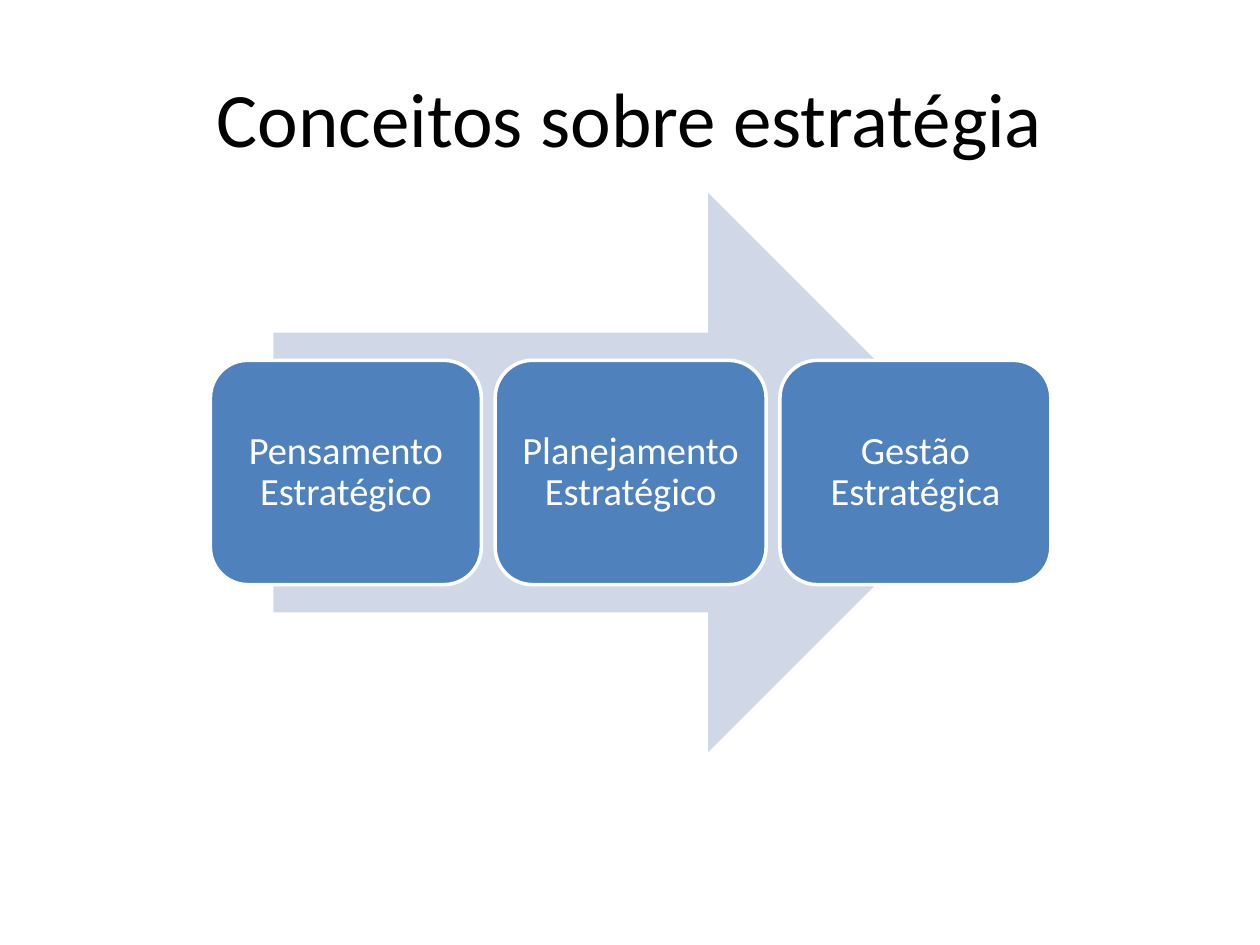
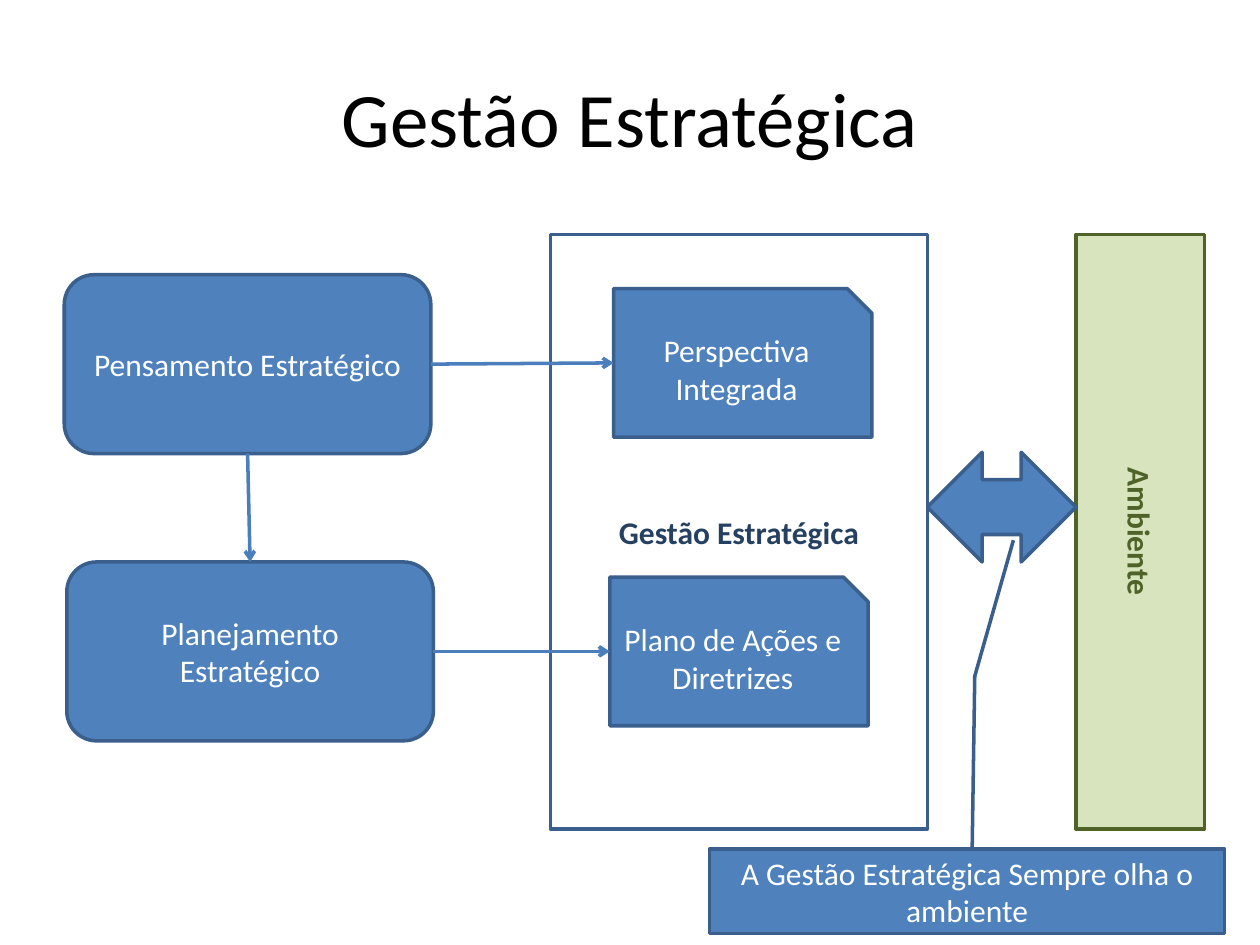
from dataclasses import dataclass

from lxml.etree import SubElement
from pptx import Presentation
from pptx.dml.color import RGBColor
from pptx.enum.shapes import MSO_CONNECTOR, MSO_SHAPE
from pptx.enum.text import MSO_ANCHOR, PP_ALIGN
from pptx.oxml.ns import qn
from pptx.presentation import Presentation as Deck
from pptx.shapes.autoshape import Shape
from pptx.slide import Slide
from pptx.text.text import TextFrame
from pptx.util import Emu, Pt

PX = 9144  # EMU in one px, 100 px to the inch


# Colours and type sizes
@dataclass(frozen=True)
class Theme:
    font: str = "Calibri"
    title_size: int = 44
    step_size: int = 22
    body_size: int = 18
    line_width: int = 2
    black: str = "000000"
    white: str = "FFFFFF"
    blue: str = "4F81BD"
    blue_edge: str = "3A5F8C"
    blue_arrow: str = "4B7EBC"
    navy: str = "254061"
    pale_blue: str = "D0D8E8"
    pale_green: str = "D7E4BD"
    green: str = "4F6228"


THEME = Theme()


@dataclass(frozen=True)
class Box:
    kind: MSO_SHAPE
    left: int
    top: int
    width: int
    height: int
    text: str = ""
    fill: str | None = THEME.blue
    line: str | None = THEME.blue_edge
    color: str = THEME.white
    size: int = THEME.body_size
    bold: bool = False
    spacing: float = 1.0
    inset: tuple[int, int] = (10, 5)
    vertical: bool = False
    adjustments: tuple[float, ...] = ()


def px(length: int) -> Emu:
    return Emu(length * PX)


def write_text(frame: TextFrame, text: str, *, size: int, color: str,
               bold: bool = False, spacing: float = 1.0,
               inset: tuple[int, int] = (10, 5)) -> None:
    frame.word_wrap = True
    frame.vertical_anchor = MSO_ANCHOR.MIDDLE
    frame.margin_left = frame.margin_right = px(inset[0])
    frame.margin_top = frame.margin_bottom = px(inset[1])
    para = frame.paragraphs[0]
    para.alignment = PP_ALIGN.CENTER
    para.line_spacing = spacing
    span = para.add_run()
    span.text = text
    span.font.name = THEME.font
    span.font.size = Pt(size)
    span.font.bold = bold
    span.font.color.rgb = RGBColor.from_string(color)


def add_box(page: Slide, box: Box) -> Shape:
    shape = page.shapes.add_shape(
        box.kind, px(box.left), px(box.top), px(box.width), px(box.height))
    shape.shadow.inherit = False
    for index, value in enumerate(box.adjustments):
        shape.adjustments[index] = value
    if box.fill:
        shape.fill.solid()
        shape.fill.fore_color.rgb = RGBColor.from_string(box.fill)
    else:
        shape.fill.background()
    if box.line:
        shape.line.color.rgb = RGBColor.from_string(box.line)
        shape.line.width = Pt(THEME.line_width)
    else:
        shape.line.fill.background()
    if box.text:
        write_text(shape.text_frame, box.text, size=box.size, color=box.color,
                   bold=box.bold, spacing=box.spacing, inset=box.inset)
    if box.vertical:
        shape.text_frame._txBody.bodyPr.set("vert", "vert")
    return shape


def add_arrow(page: Slide, source: Shape, source_side: int,
              target: Shape, target_side: int) -> None:
    """Arrow between side middles: 0 top, 1 left, 2 bottom, 3 right."""
    ends = []
    for shape, side in ((source, source_side), (target, target_side)):
        across, down = ((1, 0), (0, 1), (1, 2), (2, 1))[side]
        ends += [shape.left + shape.width * across // 2,
                 shape.top + shape.height * down // 2]
    arrow = page.shapes.add_connector(MSO_CONNECTOR.STRAIGHT, *ends)
    # Only rounded rectangles number their sides in this order
    if source.auto_shape_type == MSO_SHAPE.ROUNDED_RECTANGLE:
        arrow.begin_connect(source, source_side)
    if target.auto_shape_type == MSO_SHAPE.ROUNDED_RECTANGLE:
        arrow.end_connect(target, target_side)
    arrow.line.color.rgb = RGBColor.from_string(THEME.blue_arrow)
    arrow.line.width = Pt(THEME.line_width)
    SubElement(arrow.line._get_or_add_ln(), qn("a:tailEnd"), type="arrow")
    SubElement(arrow._element.spPr, qn("a:effectLst"))


def add_page(deck: Deck, title: str) -> Slide:
    page = deck.slides.add_slide(deck.slide_layouts[6])
    box = page.shapes.add_textbox(px(50), px(30), px(900), px(125))
    write_text(box.text_frame, title, size=THEME.title_size, color=THEME.black)
    return page


def build_concepts(deck: Deck) -> None:
    page = add_page(deck, "Conceitos sobre estratégia")
    add_box(page, Box(MSO_SHAPE.RIGHT_ARROW, 217, 153, 567, 444,
                      fill=THEME.pale_blue, line=None))

    # Three steps in a row over the arrow
    width, gap = 215, 11
    steps = ("Pensamento Estratégico", "Planejamento Estratégico",
             "Gestão Estratégica")
    for index, step in enumerate(steps):
        add_box(page, Box(MSO_SHAPE.ROUNDED_RECTANGLE,
                          167 + index * (width + gap), 286, width, 178, step,
                          line=THEME.white, size=THEME.step_size,
                          spacing=0.9, inset=(9, 9)))


def build_management(deck: Deck) -> None:
    page = add_page(deck, "Gestão Estratégica")

    # Results, inside the management frame
    plan = add_box(page, Box(MSO_SHAPE.SNIP_1_RECTANGLE, 484, 458, 205, 118,
                             "Plano de Ações e Diretrizes"))
    view = add_box(page, Box(MSO_SHAPE.SNIP_1_RECTANGLE, 487, 229, 205, 118,
                             "Perspectiva Integrada"))
    add_box(page, Box(MSO_SHAPE.RECTANGLE, 437, 186, 299, 472,
                      "Gestão Estratégica", fill=None, color=THEME.navy,
                      bold=True))

    # Environment and its exchange with management
    add_box(page, Box(MSO_SHAPE.RECTANGLE, 854, 186, 102, 472, "Ambiente",
                      fill=THEME.pale_green, line=THEME.green,
                      color=THEME.green, bold=True, vertical=True))
    add_box(page, Box(MSO_SHAPE.LEFT_RIGHT_ARROW, 736, 359, 118, 87))
    add_box(page, Box(MSO_SHAPE.LINE_CALLOUT_2, 563, 674, 409, 67,
                      "A Gestão Estratégica Sempre olha o ambiente",
                      adjustments=(-0.02, 0.51, -2.05, 0.515, -3.66, 0.59)))

    # Sources and the flow between parts
    thinking = add_box(page, Box(MSO_SHAPE.ROUNDED_RECTANGLE, 51, 218, 291, 142,
                                 "Pensamento Estratégico"))
    planning = add_box(page, Box(MSO_SHAPE.ROUNDED_RECTANGLE, 53, 446, 291, 142,
                                 "Planejamento Estratégico"))
    add_arrow(page, thinking, 2, planning, 0)
    add_arrow(page, thinking, 3, view, 1)
    add_arrow(page, planning, 3, plan, 1)


def main() -> None:
    deck = Presentation()
    deck.slide_width, deck.slide_height = px(1000), px(750)
    build_concepts(deck)
    build_management(deck)
    deck.save("out.pptx")


if __name__ == "__main__":
    main()
